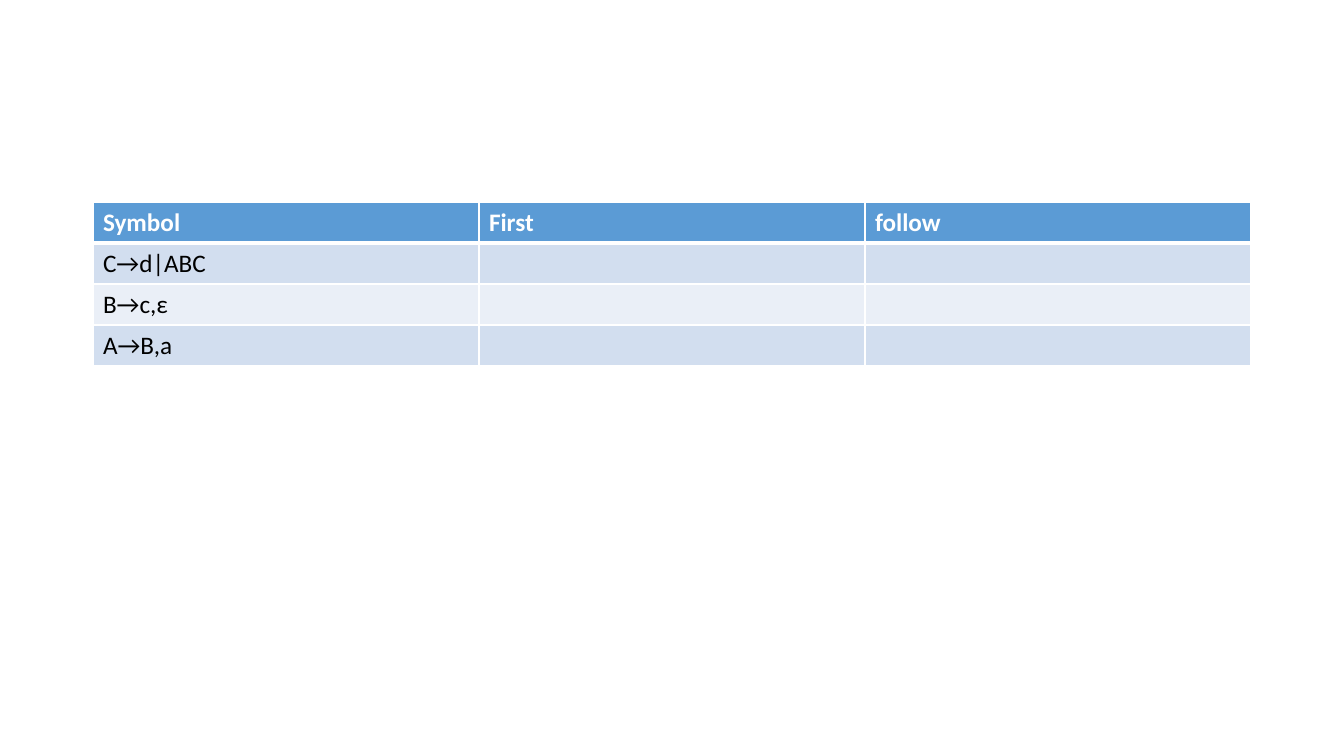
from lxml.etree import SubElement
from pptx import Presentation
from pptx.dml.color import RGBColor
from pptx.oxml.ns import qn
from pptx.util import Emu, Pt

EMU_PER_PX = 914400 / 100.8
BLANK_LAYOUT = 6


def px(length):
    return Emu(round(length * EMU_PER_PX))


def color(value):
    return RGBColor.from_string(value)


class GrammarSlide:
    font_name = "Calibri"
    font_size = 18
    white = "FFFFFF"
    black = "000000"
    header_fill = "5B9BD5"
    band_fills = ("EAEFF7", "D2DEEF")

    def __init__(self, deck):
        self.slide = deck.slides.add_slide(deck.slide_layouts[BLANK_LAYOUT])

    def borders(self, cell, widths):
        properties = cell._tc.get_or_add_tcPr()
        for side, width in widths.items():
            line = SubElement(properties, qn(f"a:ln{side}"), w=str(Pt(width)))
            fill = SubElement(line, qn("a:solidFill"))
            SubElement(fill, qn("a:srgbClr"), val=self.white)

    def cell(self, cell, text, row):
        is_header = row == 0
        self.borders(cell, {
            "L": 1,
            "R": 1,
            "T": 3 if row == 1 else 1,
            "B": 3 if is_header else 1,
        })
        cell.fill.solid()
        fill = self.header_fill if is_header else self.band_fills[row % 2]
        cell.fill.fore_color.rgb = color(fill)
        cell.text_frame.text = text
        font = cell.text_frame.paragraphs[0].font
        for span in cell.text_frame.paragraphs[0].runs:
            font = span.font
        font.name = self.font_name
        font.size = Pt(self.font_size)
        font.bold = is_header
        font.color.rgb = color(self.white if is_header else self.black)

    def table(self, left, top, column_width, row_height, rows):
        columns = len(rows[0])
        frame = self.slide.shapes.add_table(
            len(rows), columns, px(left), px(top),
            px(column_width * columns), px(row_height * len(rows)))
        for column in frame.table.columns:
            column.width = px(column_width)
        for row, texts in enumerate(rows):
            frame.table.rows[row].height = px(row_height)
            for column, text in enumerate(texts):
                self.cell(frame.table.cell(row, column), text, row)


def main():
    deck = Presentation()
    deck.slide_width, deck.slide_height = px(1344), px(756)
    page = GrammarSlide(deck)
    productions = ["C→d|ABC", "B→c,ε", "A→B,a"]
    rows = [["Symbol", "First", "follow"]]
    rows += [[production, "", ""] for production in productions]
    page.table(93, 202, 386, 41, rows)
    deck.save("out.pptx")


if __name__ == "__main__":
    main()
